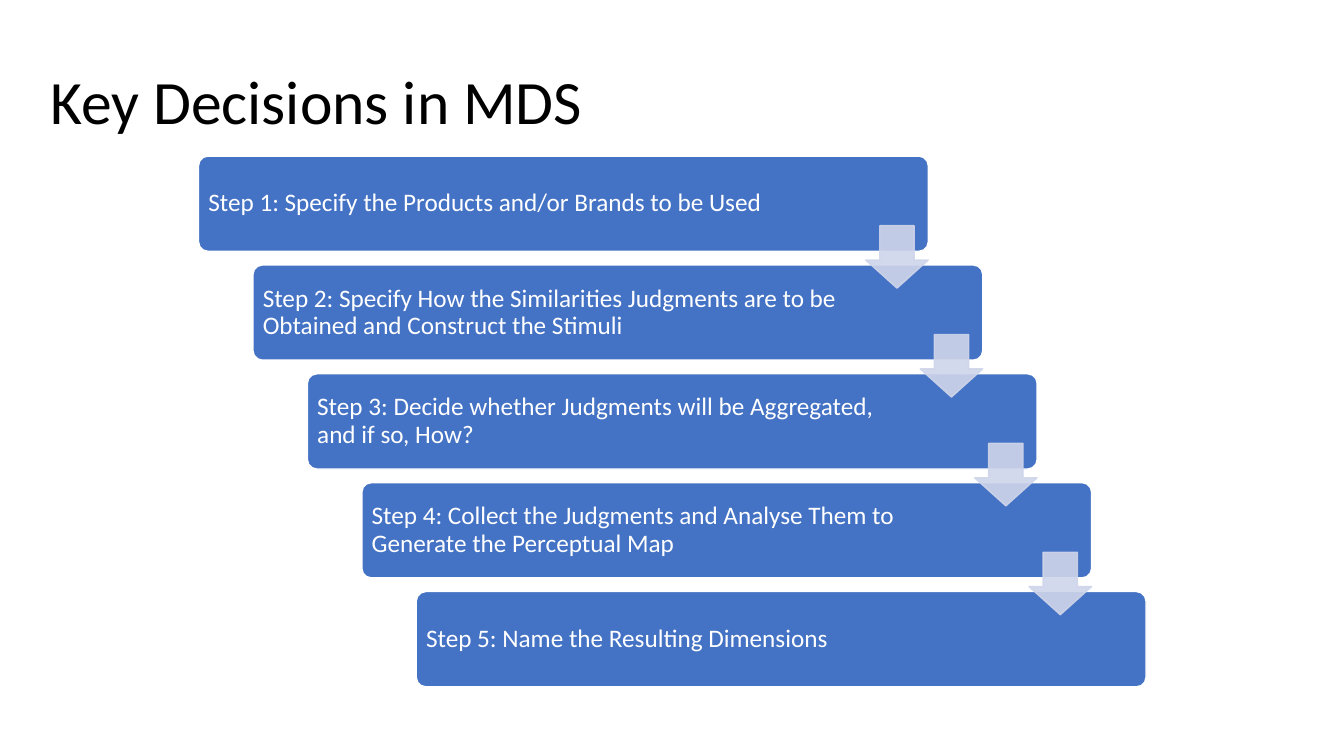
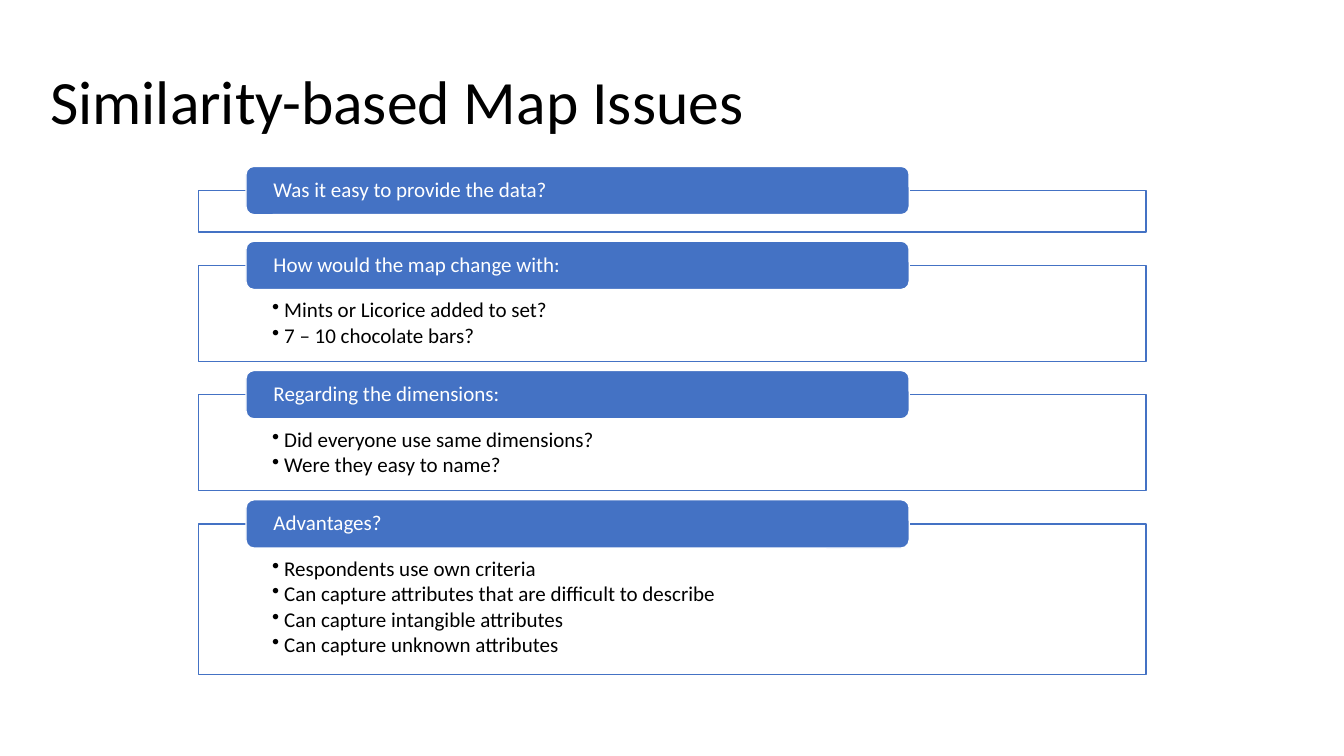
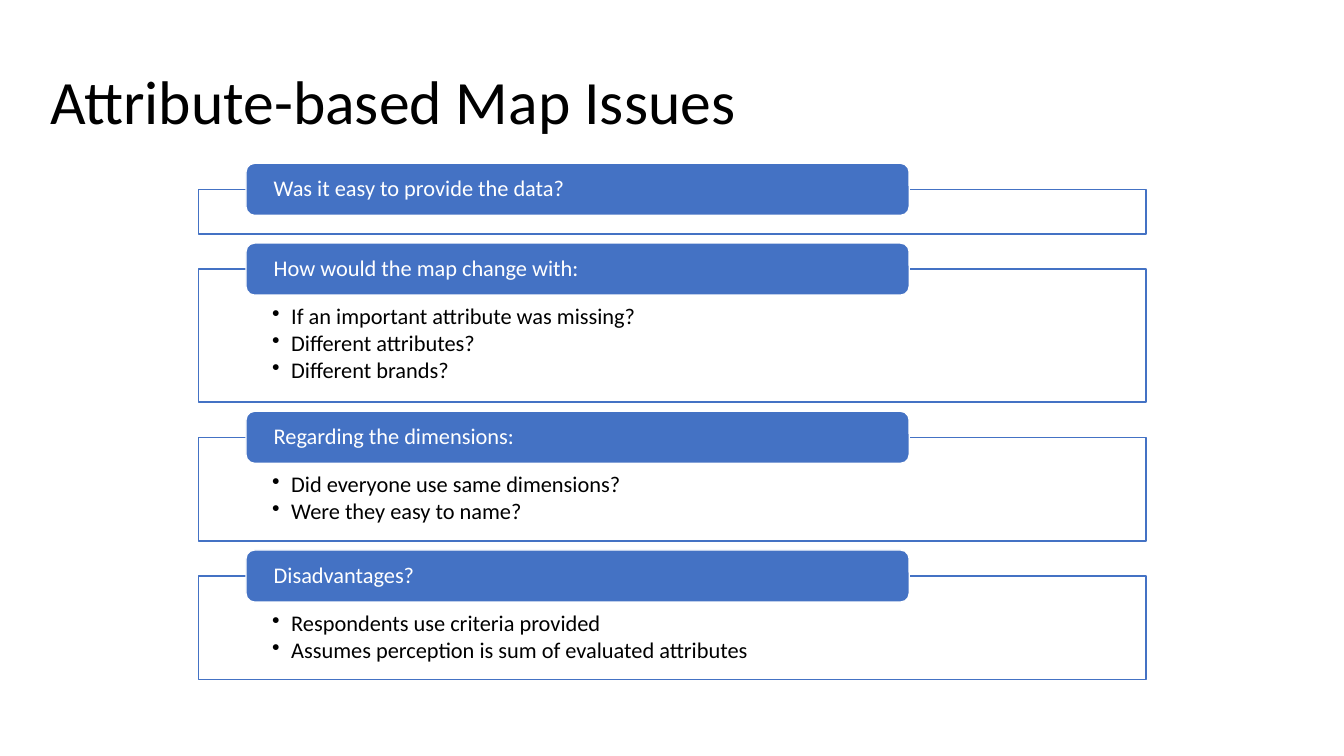
from lxml import etree
from pptx import Presentation
from pptx import util as u
from pptx.dml.color import RGBColor
from pptx.enum import shapes, text
from pptx.oxml.ns import qn

WIDTH, HEIGHT = u.Inches(13.33), u.Inches(7.5)
FONT = "Calibri"
BLUE, PALE, WHITE, BLACK = "4472C4", "CFD5EA", "FFFFFF", "000000"
LEFT = 14.77
GAP = 1.2
KIND = shapes.MSO_SHAPE
ANCHOR = text.MSO_ANCHOR

STEPS = [
    "Step 1: Specify the Products and/or Brands to be Used",
    "Step 2: Specify How the Similarities Judgments are to be Obtained and Construct the Stimuli",
    "Step 3: Decide whether Judgments will be Aggregated, and if so, How?",
    "Step 4: Collect the Judgments and Analyse Them to Generate the Perceptual Map",
    "Step 5: Name the Resulting Dimensions",
]
EASE = ("Was it easy to provide the data?", [])
CHANGE = "How would the map change with:"
DIMENSIONS = ("Regarding the dimensions:",
              ["Did everyone use same dimensions?", "Were they easy to name?"])
SIMILARITY = [
    EASE,
    (CHANGE, ["Mints or Licorice added to set?", "7 – 10 chocolate bars?"]),
    DIMENSIONS,
    ("Advantages?", ["Respondents use own criteria",
                     "Can capture attributes that are difficult to describe",
                     "Can capture intangible attributes",
                     "Can capture unknown attributes"]),
]
ATTRIBUTE = [
    EASE,
    (CHANGE, ["If an important attribute was missing?",
              "Different attributes?", "Different brands?"]),
    DIMENSIONS,
    ("Disadvantages?", ["Respondents use criteria provided",
                        "Assumes perception is sum of evaluated attributes"]),
]


def color(value):
    return RGBColor.from_string(value)


def area(left, top, width, height):
    return [int(WIDTH * left / 100), int(HEIGHT * top / 100),
            int(WIDTH * width / 100), int(HEIGHT * height / 100)]


def fade(node, percent=90):
    for tint in node.iter(qn("a:srgbClr")):
        etree.SubElement(tint, qn("a:alpha"), val=str(percent * 1000))


def add_box(page, kind, place, fill, line, adjustments=()):
    box = page.shapes.add_shape(kind, *area(*place))
    box.shadow.inherit = False
    box.fill.solid()
    box.fill.fore_color.rgb = color(fill)
    box.line.color.rgb = color(line)
    box.line.width = u.Pt(1)
    for index, value in enumerate(adjustments):
        box.adjustments[index] = value
    return box


def add_bullet(para, indent):
    props = para._p.get_or_add_pPr()
    props.set("marL", str(u.Inches(indent)))
    props.set("indent", str(-u.Inches(indent)))
    etree.SubElement(props, qn("a:buChar"), char="•")
    para.space_after = u.Pt(2)


def write(box, lines, size, tint, anchor, insets, indent=None):
    frame = box.text_frame
    frame.word_wrap = True
    frame.vertical_anchor = anchor
    (frame.margin_left, frame.margin_top,
     frame.margin_right, frame.margin_bottom) = map(u.Inches, insets)
    for index, line in enumerate(lines):
        para = frame.add_paragraph() if index else frame.paragraphs[0]
        para.text = line
        para.alignment = text.PP_ALIGN.LEFT
        para.line_spacing = 0.9
        if indent:
            add_bullet(para, indent)
        para.font.name = FONT
        para.font.size = u.Pt(size)
        para.font.color.rgb = color(tint)


def add_page(deck, title):
    page = deck.slides.add_slide(deck.slide_layouts[6])
    box = page.shapes.add_textbox(*area(3, 3.3, 94, 15.63))
    write(box, [title], 44, BLACK, ANCHOR.BOTTOM, (0.1, 0.05, 0.1, 0.05))
    return page


def add_staircase(page, steps):
    top, width, height = 20.65, 54.3, 12.6
    shift, drop, arrow = 4.05, 14.4, 4.65
    for index, step in enumerate(steps):
        place = LEFT + index * shift, top + index * drop, width, height
        box = add_box(page, KIND.ROUNDED_RECTANGLE, place, BLUE, WHITE, [0.1])
        write(box, [step], 18, WHITE, ANCHOR.MIDDLE, (0.07, 0.07, 1.23, 0.07))
    for index in range(len(steps) - 1):
        place = (LEFT + width - arrow + index * shift,
                 top + 9.2 + index * drop, arrow, 8.27)
        box = add_box(page, KIND.DOWN_ARROW, place, PALE, PALE, [0.55, 0.45])
        fade(box.element.spPr)


def add_panels(page, topics, top, header, row, size, indent, headroom):
    for heading, points in topics:
        panel_top = top + header / 2
        height = header - 0.9 + row * len(points)
        if header > 6.5:
            height = header - 1 + row * len(points)
        panel = add_box(page, KIND.RECTANGLE,
                        (LEFT, panel_top, 70.5, height), WHITE, BLUE)
        fade(panel.element.spPr.find(qn("a:solidFill")))
        if points:
            write(panel, points, size, BLACK, ANCHOR.TOP,
                  (0.73, headroom, 0.73, 0.12), indent)
        tab = add_box(page, KIND.ROUNDED_RECTANGLE,
                      (18.3, top, 49.35, header), BLUE, WHITE)
        write(tab, [heading], size, WHITE, ANCHOR.MIDDLE, (0.25, 0, 0.25, 0))
        top = panel_top + height + GAP


def main():
    deck = Presentation()
    deck.slide_width, deck.slide_height = WIDTH, HEIGHT
    add_staircase(add_page(deck, "Key Decisions in MDS"), STEPS)
    add_panels(add_page(deck, "Similarity-based Map Issues"), SIMILARITY,
               top=22, header=6.4, row=3.6, size=15, indent=0.12, headroom=0.34)
    add_panels(add_page(deck, "Attribute-based Map Issues"), ATTRIBUTE,
               top=21.6, header=6.9, row=3.9, size=16, indent=0.19, headroom=0.36)
    deck.save("out.pptx")


if __name__ == "__main__":
    main()
